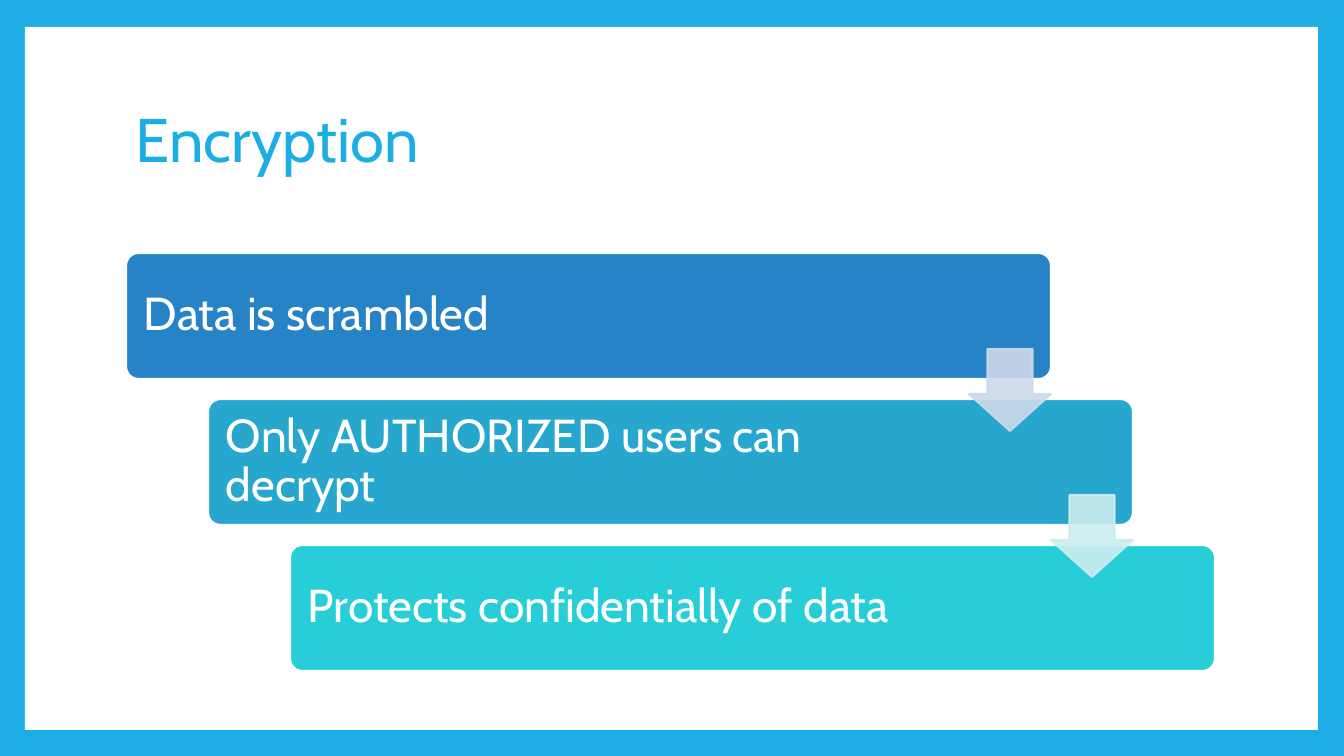
"""Build the Encryption slide: three stepped cards joined by down arrows."""
from lxml.etree import SubElement
from pptx import Presentation
from pptx.dml.color import RGBColor
from pptx.enum.shapes import MSO_SHAPE as SHAPE
from pptx.enum.text import MSO_ANCHOR as ANCHOR
from pptx.oxml.ns import qn
from pptx.util import Pt

SCALE = 914400 / 100.8
STEP_X, STEP_Y = 82, 146


def paint(target, color, alpha=None):
    target.solid()
    target.fore_color.rgb = RGBColor.from_string(color)
    if alpha:
        for tint in target._xPr.iter(qn("a:srgbClr")):
            SubElement(tint, qn("a:alpha"), val=str(alpha * 1000))


def add_text(words, box, size, color, inset):
    frame = slide.shapes.add_textbox(*[round(v * SCALE) for v in box]).text_frame
    margin = round(inset * SCALE)
    layout = {"word_wrap": True, "vertical_anchor": ANCHOR.MIDDLE,
              "margin_left": margin, "margin_right": margin,
              "margin_top": margin, "margin_bottom": margin}
    for key, value in layout.items():
        setattr(frame, key, value)
    line = frame.paragraphs[0]
    line.text = words
    line.line_spacing = 0.9
    for key, value in {"name": "Cabin", "size": Pt(size)}.items():
        setattr(line.font, key, value)
    line.font.color.rgb = RGBColor.from_string(color)


deck = Presentation()
deck.slide_width, deck.slide_height = round(1344 * SCALE), round(756 * SCALE)
slide = deck.slides.add_slide(deck.slide_layouts[6])
paint(slide.background.fill, "1CADE4")

panel = slide.shapes.add_shape(
    SHAPE.RECTANGLE, *[round(v * SCALE) for v in (25, 27, 1293, 703)])
panel.shadow.inherit = False
paint(panel.fill, "FFFFFF")
panel.line.fill.background()

add_text("Encryption", (126, 68, 1089, 149), 44, "1CADE4", 10)

cards = [
    ("Data is scrambled", "2683C6", 789),
    ("Only AUTHORIZED users can decrypt", "27A7CE", 754),
    ("Protects confidentially of data", "27CED7", 754),
]
for index, (words, color, text_width) in enumerate(cards):
    left, top = 126 + index * STEP_X, 253 + index * STEP_Y
    card = slide.shapes.add_shape(
        SHAPE.ROUNDED_RECTANGLE, *[round(v * SCALE) for v in (left, top, 925, 126)])
    card.shadow.inherit = False
    card.adjustments[0] = 0.1
    paint(card.fill, color)
    paint(card.line.fill, "FFFFFF")
    card.line.width = Pt(1.5)
    add_text(words, (left + 4, top + 4, text_width, 118), 33, "FFFFFF", 14)

for index, color in enumerate(["CDD9EA", "CDEDF0"]):
    box = (969 + index * STEP_X, 349 + index * STEP_Y, 82, 82)
    arrow = slide.shapes.add_shape(SHAPE.DOWN_ARROW, *[round(v * SCALE) for v in box])
    arrow.shadow.inherit = False
    arrow.adjustments[0], arrow.adjustments[1] = 0.55, 0.45
    arrow.line.width = Pt(1.5)
    paint(arrow.line.fill, color)
    paint(arrow.fill, color)
    for tint in arrow.fill._xPr.iter(qn("a:srgbClr")):
        SubElement(tint, qn("a:alpha"), val="90000")

deck.save("out.pptx")
